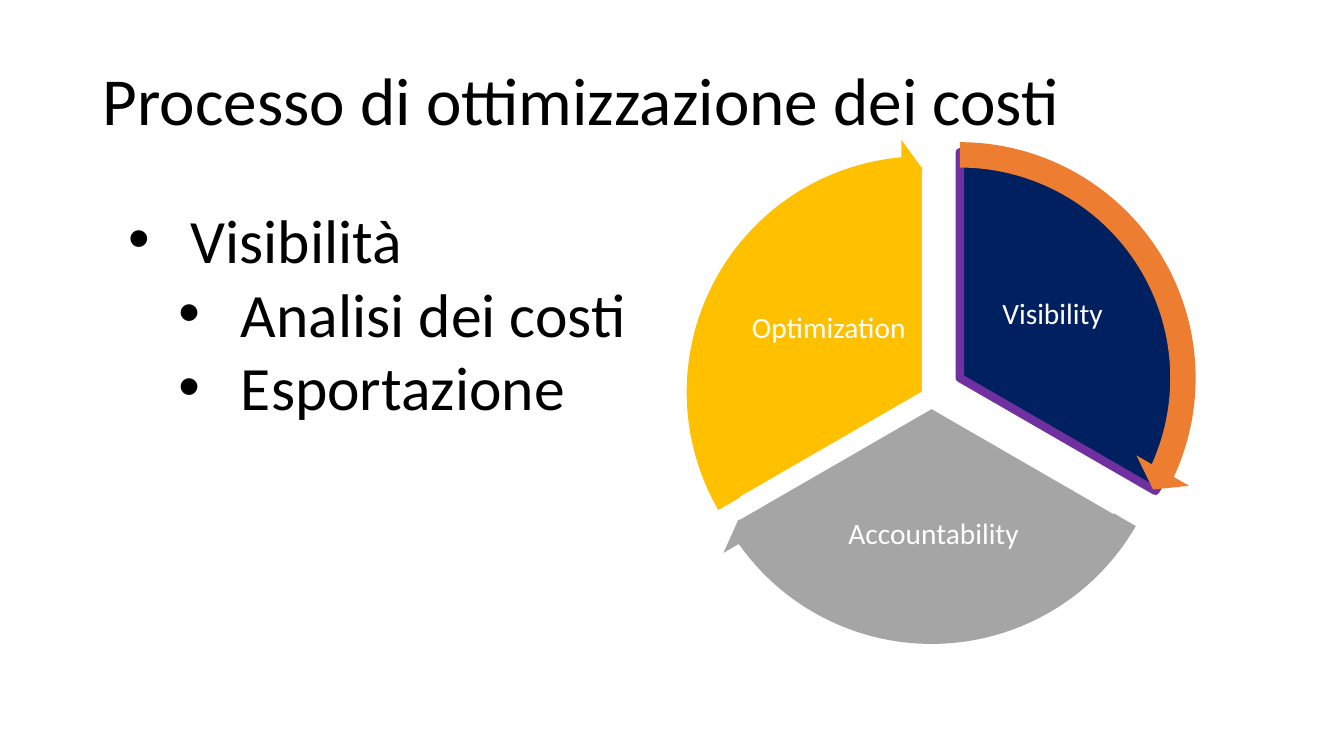
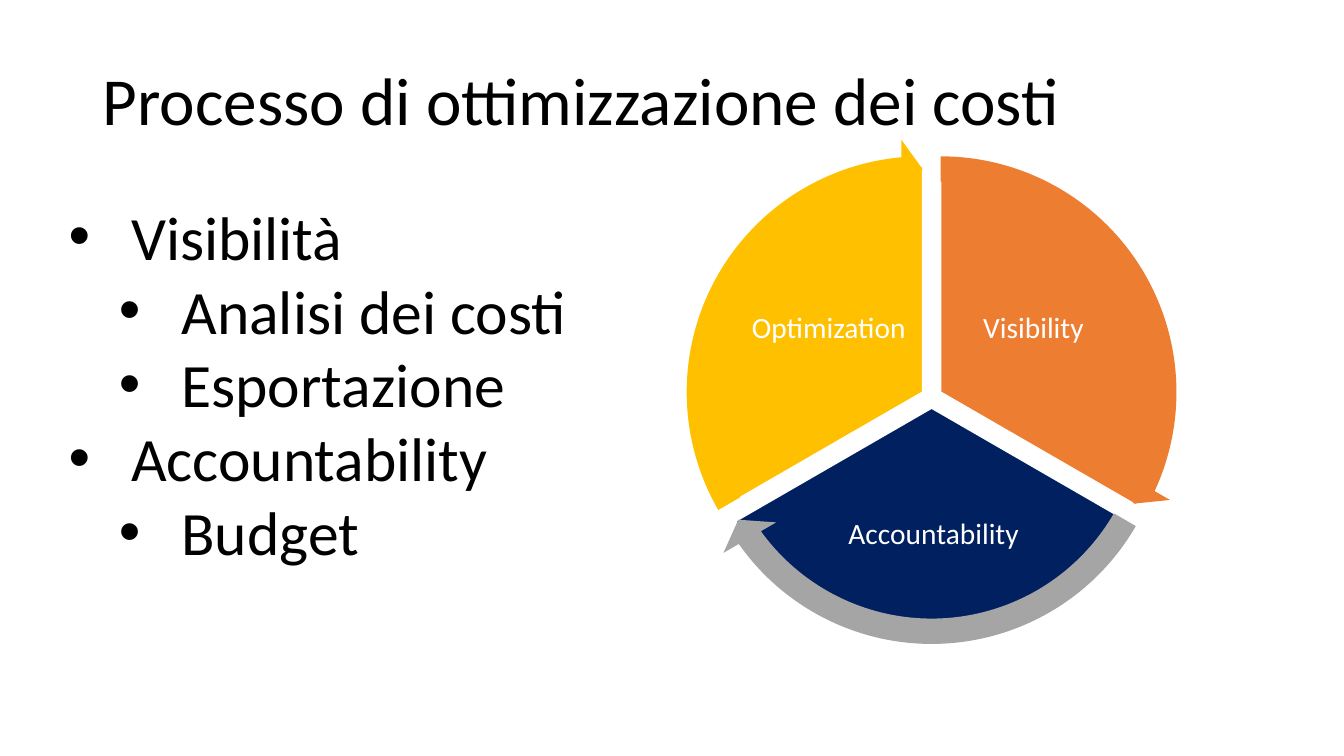
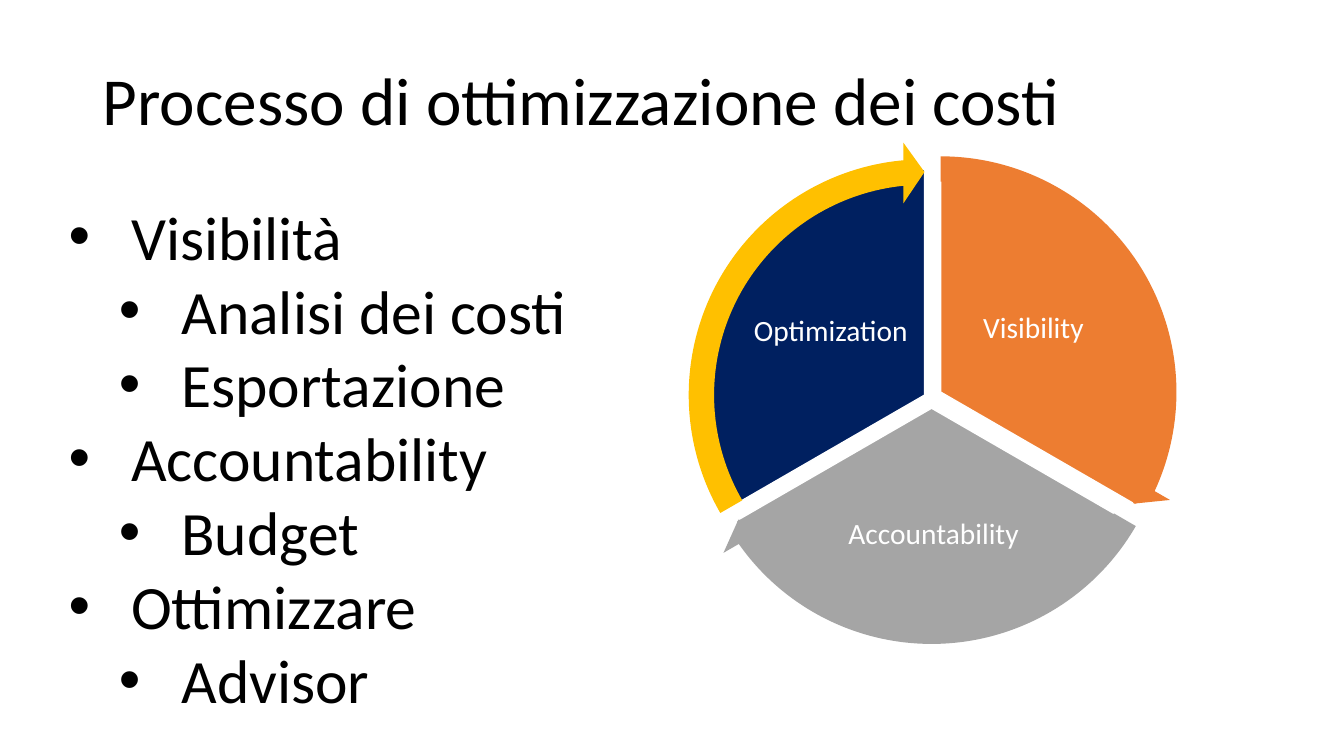
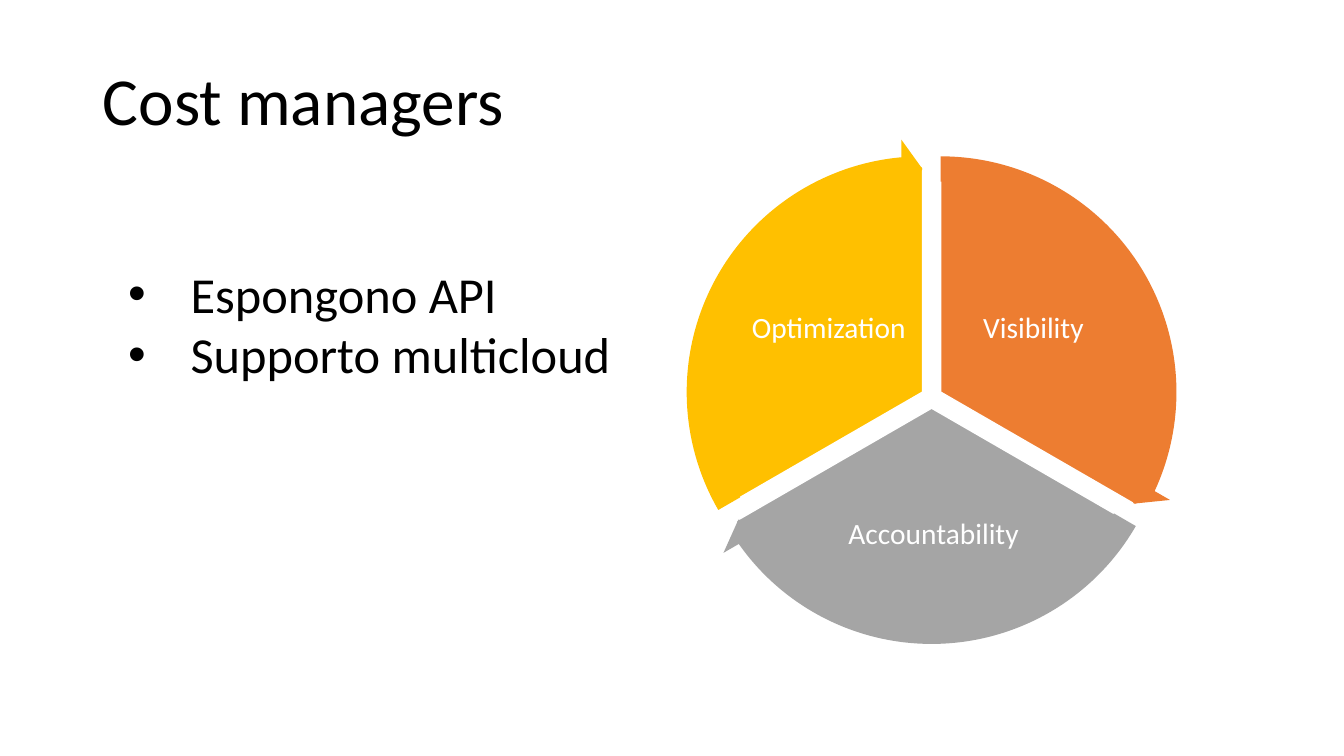
from pptx import Presentation
from pptx import util as u
from pptx.dml.color import RGBColor
from pptx.enum import shapes, text
from pptx.oxml.ns import qn
from lxml import etree

COLORS = {"black": "000000", "white": "FFFFFF", "navy": "002060", "purple": "7030A0",
          "orange": "ED7D31", "grey": "A5A5A5", "gold": "FFC000"}
FONT = "Calibri"
PROCESS = "Processo di ottimizzazione dei costi"
VISIBILITY = [("Visibilità", 0), ("Analisi dei costi", 1), ("Esportazione", 1)]
ACCOUNTABILITY = [("Accountability", 0), ("Budget", 1)]
OPTIMIZATION = [("Ottimizzare", 0), ("Advisor", 1)]

SLIDES = [
    {"title": PROCESS, "items": VISIBILITY, "box": (1.17, 1.95, 5.31, 2.32), "size": 44,
     "active": "Visibility", "shift": (0.19, -0.14), "line": ("purple", 6)},
    {"title": PROCESS, "items": VISIBILITY + ACCOUNTABILITY,
     "box": (0.58, 1.92, 5.31, 3.8), "size": 44, "active": "Accountability"},
    {"title": PROCESS, "items": VISIBILITY + ACCOUNTABILITY + OPTIMIZATION,
     "box": (0.58, 1.92, 5.31, 5.28), "size": 44,
     "active": "Optimization", "shift": (0.02, 0.03)},
    {"title": "Cost managers", "items": [("Espongono API", 0), ("Supporto multicloud", 0)],
     "box": (1.17, 2.56, 5.31, 1.31), "size": 36},
]

SECTORS = [
    {"label": "Visibility", "color": "orange", "at": (7.09, 1.65), "start": 270, "end": 30,
     "label_box": (2.36, 0.95, 1.6, 1.33)},
    {"label": "Accountability", "color": "grey", "at": (7, 1.81), "start": 30, "end": 150,
     "label_box": (1.06, 2.91, 2.4, 1.17)},
    {"label": "Optimization", "color": "gold", "at": (6.91, 1.65), "start": 150, "end": 270,
     "label_box": (0.51, 0.95, 1.6, 1.33)},
]
PIE, ARROW = 4.48, 5.03
HEAD_ANGLE = 5.46
DEGREE = 0.6


def rgb(name):
    return RGBColor.from_string(COLORS[name])


def inches(*values):
    return [u.Inches(v) for v in values]


def place(sp, box):
    sp.left, sp.top, sp.width, sp.height = inches(*box)


def style(p, size, color, align=text.PP_ALIGN.LEFT, spacing=1.0):
    p.alignment, p.line_spacing = align, spacing
    p.space_before = p.space_after = u.Pt(0)
    for r in p.runs:
        r.font.name, r.font.size = FONT, u.Pt(size)
        r.font.color.rgb = rgb(color)


def add_title(s, title):
    sp = s.shapes.title
    place(sp, (0.92, 0.2, 11.5, 1.65))
    tf = sp.text_frame
    tf.text = title
    tf.vertical_anchor = text.MSO_ANCHOR.MIDDLE
    style(tf.paragraphs[0], 48, "black", spacing=0.9)


def add_list(s, items, box, size):
    sp = s.placeholders[1]
    place(sp, box)
    tf = sp.text_frame
    tf.text = "\n".join(label for label, _ in items)
    tf.auto_size = text.MSO_AUTO_SIZE.SHAPE_TO_FIT_TEXT
    for p, (_, level) in zip(tf.paragraphs, items):
        p.level = level
        style(p, size, "black")
        pPr = p._p.get_or_add_pPr()
        pPr.set("marL", str(u.Inches(0.62 + 0.5 * level)))
        pPr.set("indent", str(u.Inches(-0.62)))
        etree.SubElement(pPr, qn("a:buFont")).set("typeface", "Arial")
        etree.SubElement(pPr, qn("a:buChar")).set("char", "•")


def add_preset(group, kind, box, color, adjustments, line=None):
    sp = group.add_shape(kind, *inches(*box))
    sp.shadow.inherit = False
    for i, value in enumerate(adjustments):
        sp.adjustments[i] = value
    sp.fill.solid()
    sp.fill.fore_color.rgb = rgb(color)
    if line:
        sp.line.color.rgb = rgb(line[0])
        sp.line.width = u.Pt(line[1])
    else:
        sp.line.fill.background()


def add_label(group, label, box):
    tf = group.add_textbox(*inches(*box)).text_frame
    tf.word_wrap = True
    tf.vertical_anchor = text.MSO_ANCHOR.MIDDLE
    tf.margin_left = tf.margin_top = tf.margin_right = tf.margin_bottom = u.Inches(0.03)
    tf.text = label
    style(tf.paragraphs[0], 21, "white", text.PP_ALIGN.CENTER, 0.9)


def add_wheel(s, active=None, shift=(0, 0), line=("white", 1)):
    group = s.shapes.add_group_shape().shapes
    arrows = []
    for sector in SECTORS:
        x, y = sector["at"]
        color, outline = sector["color"], ("white", 1)
        if sector["label"] == active:
            x, y = x + shift[0], y + shift[1]
            color, outline = "navy", line
        start, end = sector["start"], sector["end"]
        add_preset(group, shapes.MSO_SHAPE.PIE, (x, y, PIE, PIE), color,
                   (start * DEGREE, end * DEGREE), outline)
        dx, dy, w, h = sector["label_box"]
        add_label(group, sector["label"], (x + dx, y + dy, w, h))
        inset = (ARROW - PIE) / 2
        arrows.append(((x - inset, y - inset, ARROW, ARROW), sector["color"],
                       (0.05, HEAD_ANGLE * DEGREE, (end - HEAD_ANGLE) * DEGREE,
                        start * DEGREE, 0.06)))
    for arrow in arrows:
        add_preset(group, shapes.MSO_SHAPE.CIRCULAR_ARROW, *arrow)


def main():
    prs = Presentation()
    prs.slide_width, prs.slide_height = inches(13.33, 7.5)
    for data in SLIDES:
        s = prs.slides.add_slide(prs.slide_layouts[1])
        add_title(s, data["title"])
        add_list(s, data["items"], data["box"], data["size"])
        add_wheel(s, **{k: data[k] for k in ("active", "shift", "line") if k in data})
    prs.save("out.pptx")


if __name__ == "__main__":
    main()
